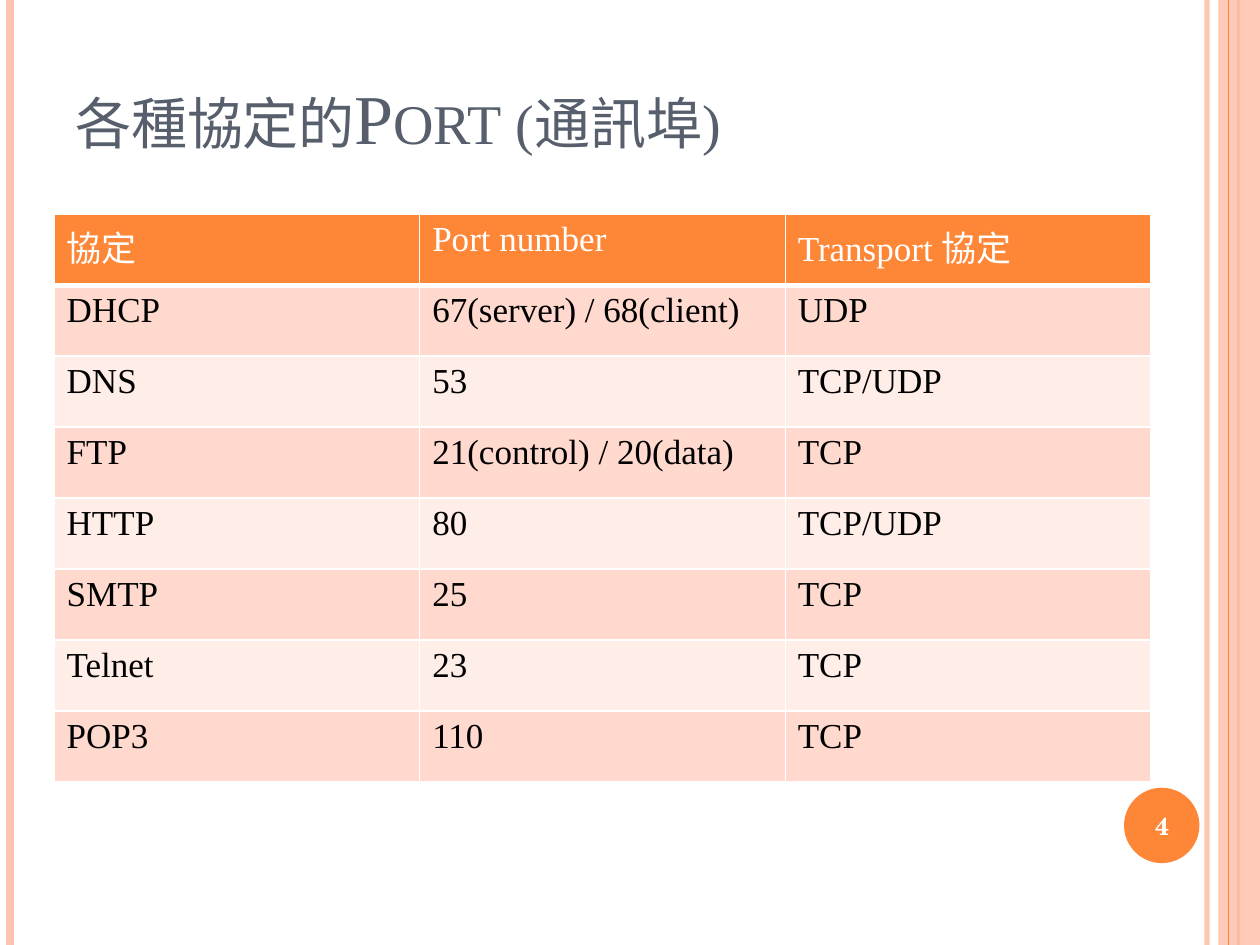
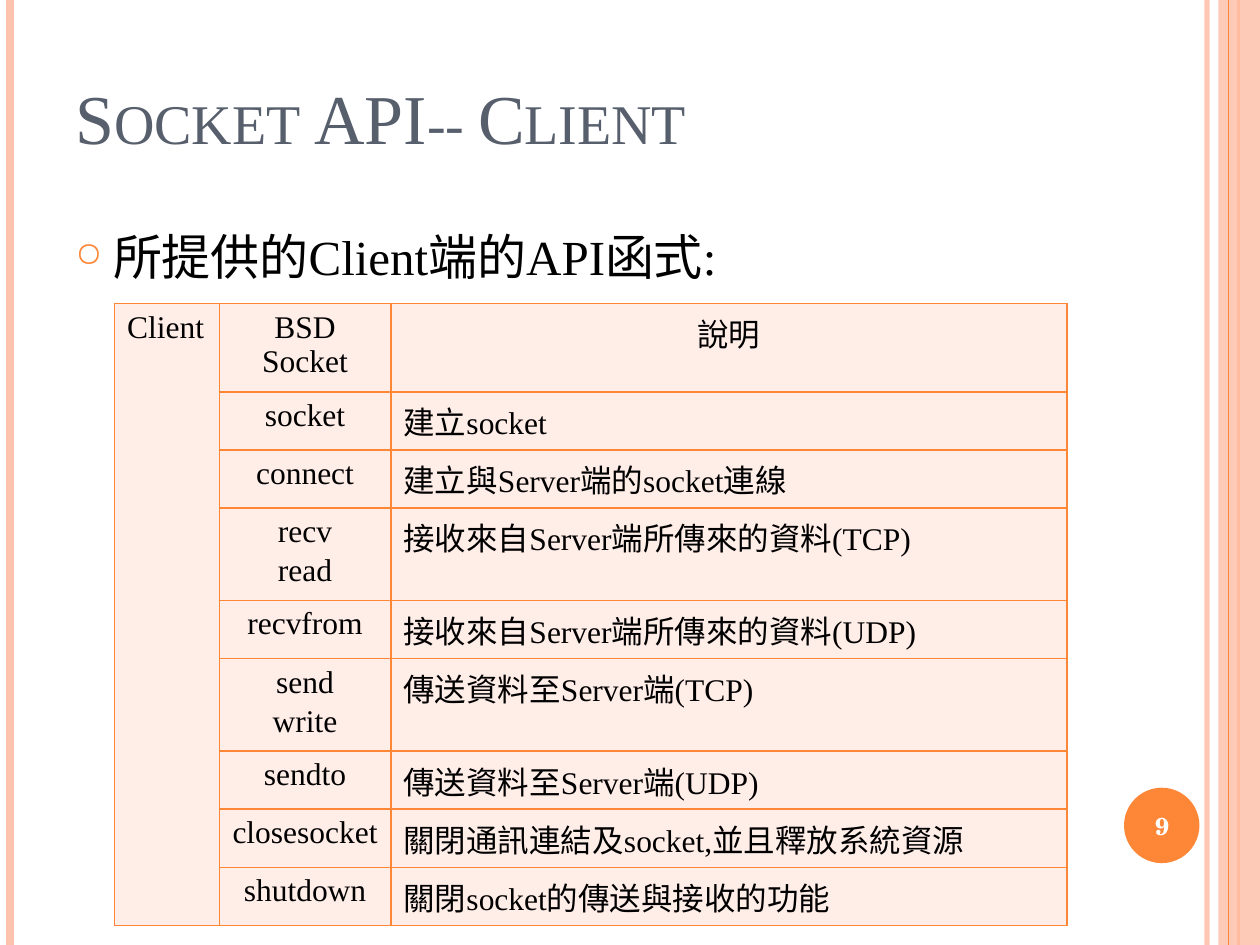
"""Build two slides on protocol ports and the client side of the socket API."""
from dataclasses import dataclass

from lxml.etree import SubElement
from pptx import Presentation
from pptx.dml.color import RGBColor as Color
from pptx.enum.shapes import MSO_CONNECTOR as Connector, MSO_SHAPE as Shape
from pptx.enum.text import MSO_ANCHOR as Anchor, PP_ALIGN as Align
from pptx.oxml.ns import qn
from pptx.oxml.xmlchemy import OxmlElement
from pptx.util import Cm, Pt


@dataclass(frozen=True)
class Theme:
    """Colours, fonts and type sizes of the presentation."""
    accent: str = "FE8637"
    pale: str = "FEC3AE"
    band_dark: str = "FFD9CE"
    band_light: str = "FFEDE8"
    heading: str = "575F6D"
    text: str = "000000"
    white: str = "FFFFFF"
    font: str = "Times New Roman"
    number_font: str = "TeX Gyre Schola"
    title_size: int = 40
    body_size: int = 28
    port_size: int = 20
    function_size: int = 18
    number_size: int = 14


class Deck:
    """Draws styled elements on the current slide."""

    def __init__(self, theme, width, height):
        self.theme = theme
        self.presentation = Presentation()
        self.presentation.slide_width = Cm(width)
        self.presentation.slide_height = Cm(height)
        self.height = height
        self.slide = None

    def add_slide(self, title, number):
        layout = self.presentation.slide_layouts[6]
        self.slide = self.presentation.slides.add_slide(layout)
        self.frame()
        self.title(title)
        self.page_number(number)

    def frame(self):
        theme = self.theme
        self.vertical_line(24.33, theme.pale, 3, opacity=93)
        self.vertical_line(0.21, theme.pale, 4.5)
        self.vertical_line(24.97, theme.accent, 1.5)
        self.shape(Shape.RECTANGLE, (24.56, 0, 0.84, self.height), theme.pale, opacity=87)
        self.vertical_line(24.77, theme.accent, 0.75)

    def vertical_line(self, x, color, width, opacity=100):
        line = self.slide.shapes.add_connector(
            Connector.STRAIGHT, Cm(x), Cm(0), Cm(x), Cm(self.height))
        line.line.color.rgb = Color.from_string(color)
        line.line.width = Pt(width)
        self.set_opacity(line, opacity)
        SubElement(line.element.spPr, qn("a:effectLst"))

    def shape(self, kind, box, color, opacity=100):
        shape = self.slide.shapes.add_shape(kind, *map(Cm, box))
        shape.shadow.inherit = False
        shape.fill.solid()
        shape.fill.fore_color.rgb = Color.from_string(color)
        shape.line.fill.background()
        self.set_opacity(shape, opacity)

    def set_opacity(self, shape, percent):
        if percent < 100:
            for color in shape.element.spPr.iter(qn("a:srgbClr")):
                SubElement(color, qn("a:alpha"), val=str(percent * 1000))

    def text_box(self, box, text, anchor, size, color, **style):
        frame = self.slide.shapes.add_textbox(*map(Cm, box)).text_frame
        frame.word_wrap = True
        frame.vertical_anchor = anchor
        self.set_text(frame, text, size, color, **style)
        return frame.paragraphs[0]

    def set_text(self, frame, text, size, color, font=None, bold=False,
                 align=Align.LEFT, space_before=0):
        frame.text = text
        for paragraph in frame.paragraphs:
            paragraph.alignment = align
            paragraph.space_before = Pt(space_before)
            for run in paragraph.runs:
                run.font.name = font or self.theme.font
                run.font.size = Pt(size)
                run.font.bold = bold
                run.font.color.rgb = Color.from_string(color)

    def title(self, text):
        theme = self.theme
        paragraph = self.text_box((1.27, 0.76, 20.75, 3.18), text, Anchor.MIDDLE,
                                  theme.title_size, theme.heading)
        for run in paragraph.runs:
            run._r.get_or_add_rPr().set("cap", "small")

    def page_number(self, number):
        theme = self.theme
        self.shape(Shape.OVAL, (22.66, 15.88, 1.52, 1.52), theme.accent)
        self.text_box((22.58, 15.93, 1.7, 1.45), str(number), Anchor.MIDDLE,
                      theme.number_size, theme.white, font=theme.number_font,
                      bold=True, align=Align.CENTER)

    def bullet(self, box, text):
        theme = self.theme
        paragraph = self.text_box(box, text, Anchor.TOP, theme.body_size,
                                  theme.text, space_before=6)
        properties = paragraph._p.get_or_add_pPr()
        properties.set("marL", str(Cm(0.76)))
        properties.set("indent", str(-Cm(0.76)))
        bullet_color = SubElement(properties, qn("a:buClr"))
        SubElement(bullet_color, qn("a:srgbClr"), val=theme.accent)
        SubElement(properties, qn("a:buSzPct"), val="70000")
        SubElement(properties, qn("a:buChar"), char="○")

    def table(self, left, top, widths, heights):
        frame = self.slide.shapes.add_table(
            len(heights), len(widths), Cm(left), Cm(top),
            Cm(sum(widths)), Cm(sum(heights)))
        table = frame.table
        table.first_row = table.horz_banding = False
        for column, width in zip(table.columns, widths):
            column.width = Cm(width)
        for row, height in zip(table.rows, heights):
            row.height = Cm(height)
        return table

    def cell(self, cell, fill, border, top=1, bottom=1):
        cell.fill.solid()
        cell.fill.fore_color.rgb = Color.from_string(fill)
        properties = cell._tc.get_or_add_tcPr()
        sides = {"L": 1, "R": 1, "T": top, "B": bottom}
        for index, (side, width) in enumerate(sides.items()):
            line = OxmlElement(f"a:ln{side}")
            line.set("w", str(Pt(width)))
            solid = SubElement(line, qn("a:solidFill"))
            SubElement(solid, qn("a:srgbClr"), val=border)
            properties.insert(index, line)

    def port_table(self, rows):
        theme = self.theme
        table = self.table(1.09, 4.32, [7.37] * 3, [1.43] * len(rows))
        for i, row in enumerate(rows):
            band = theme.band_dark if i % 2 else theme.band_light
            fill, color = (band, theme.text) if i else (theme.accent, theme.white)
            for j, text in enumerate(row):
                cell = table.cell(i, j)
                self.cell(cell, fill, theme.white,
                          top=3 if i == 1 else 1, bottom=1 if i else 3)
                self.set_text(cell.text_frame, text, theme.port_size, color)

    def function_table(self, side, header, functions):
        theme = self.theme
        rows = [header, *functions]
        heights = [1.65] + [1.79 if "\n" in name else 1.17 for name, _ in functions]
        table = self.table(2.31, 6.12, [2.11, 3.46, 13.63], heights)
        for i, (name, description) in enumerate(rows):
            texts = ("" if i else side, name, description)
            aligns = (Align.LEFT, Align.CENTER, Align.LEFT if i else Align.CENTER)
            for j, (text, align) in enumerate(zip(texts, aligns)):
                cell = table.cell(i, j)
                self.cell(cell, theme.band_light, theme.accent)
                if text:
                    self.set_text(cell.text_frame, text, theme.function_size,
                                  theme.text, align=align, space_before=2.5)
        table.cell(0, 0).merge(table.cell(len(rows) - 1, 0))


PORTS = [
    ("協定", "Port number", "Transport 協定"),
    ("DHCP", "67(server) / 68(client)", "UDP"),
    ("DNS", "53", "TCP/UDP"),
    ("FTP", "21(control) / 20(data)", "TCP"),
    ("HTTP", "80", "TCP/UDP"),
    ("SMTP", "25", "TCP"),
    ("Telnet", "23", "TCP"),
    ("POP3", "110", "TCP"),
]
FUNCTIONS = [
    ("socket", "建立socket"),
    ("connect", "建立與Server端的socket連線"),
    ("recv\nread", "接收來自Server端所傳來的資料(TCP)"),
    ("recvfrom", "接收來自Server端所傳來的資料(UDP)"),
    ("send\nwrite", "傳送資料至Server端(TCP)"),
    ("sendto", "傳送資料至Server端(UDP)"),
    ("closesocket", "關閉通訊連結及socket,並且釋放系統資源"),
    ("shutdown", "關閉socket的傳送與接收的功能"),
]

deck = Deck(Theme(), 25.4, 19.05)

deck.add_slide("各種協定的Port (通訊埠)", 4)
deck.port_table(PORTS)

deck.add_slide("Socket API-- Client", 9)
deck.bullet((1.27, 4.45, 20.75, 13.54), "所提供的Client端的API函式:")
deck.function_table("Client", ("BSD Socket", "說明"), FUNCTIONS)

deck.presentation.save("out.pptx")
